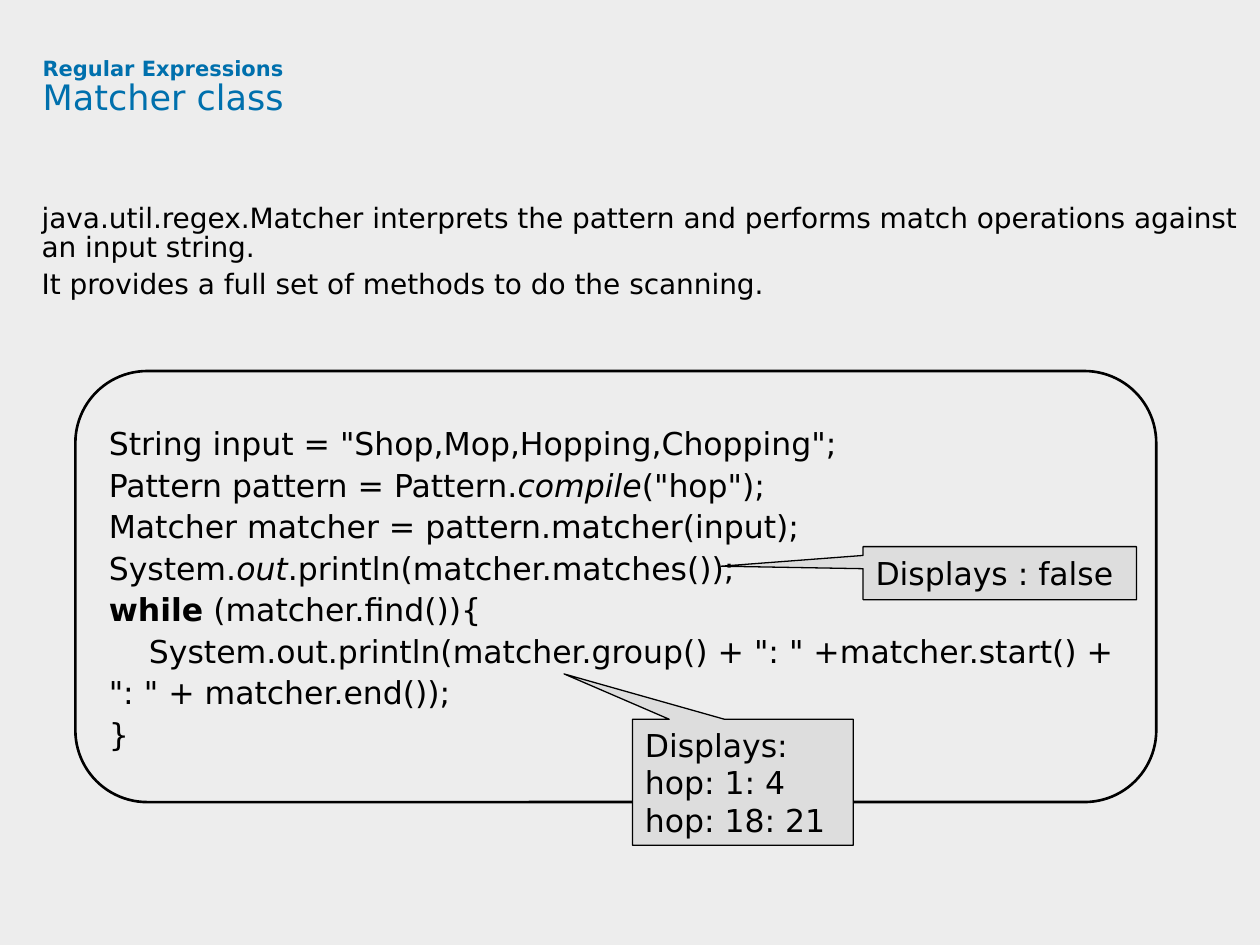
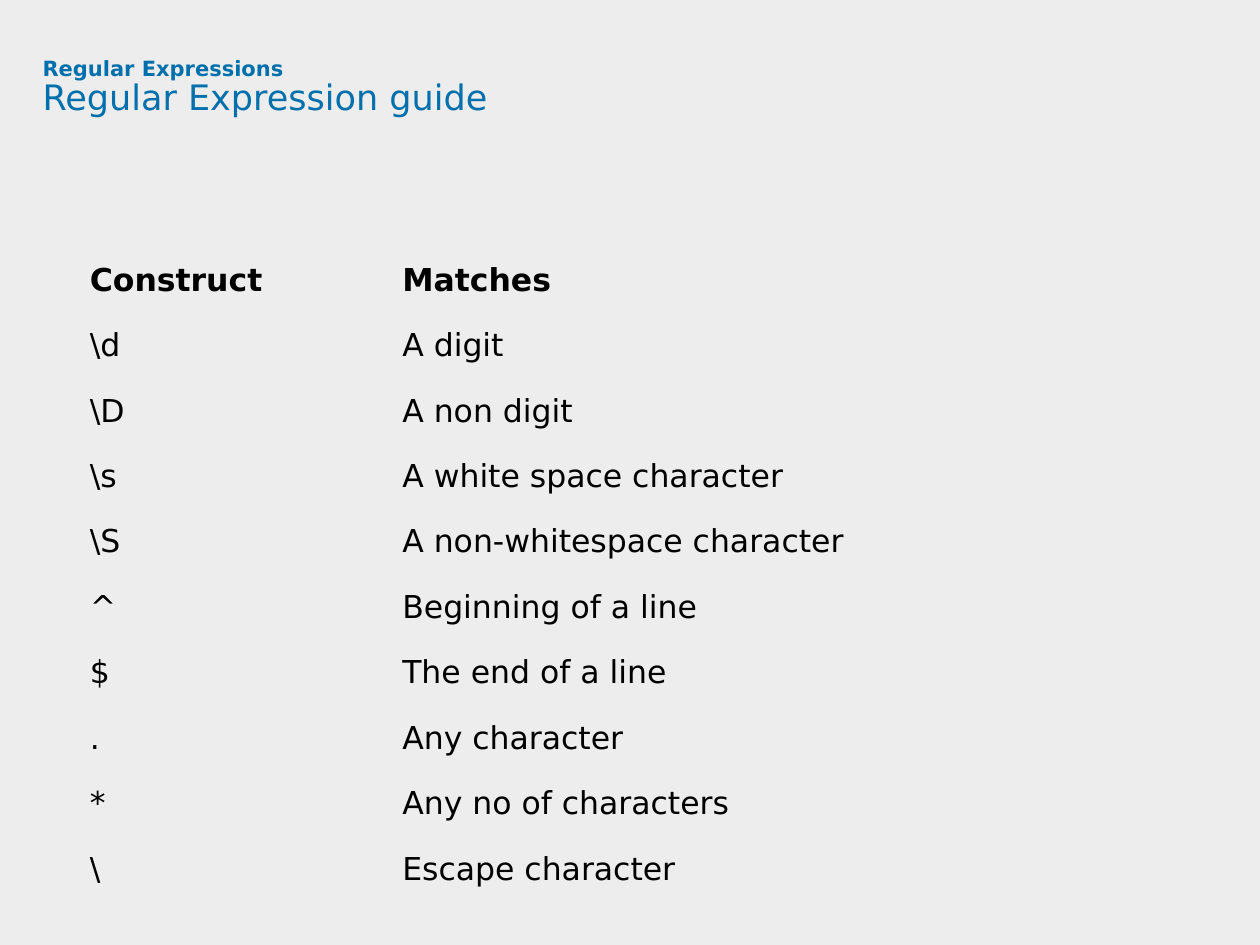
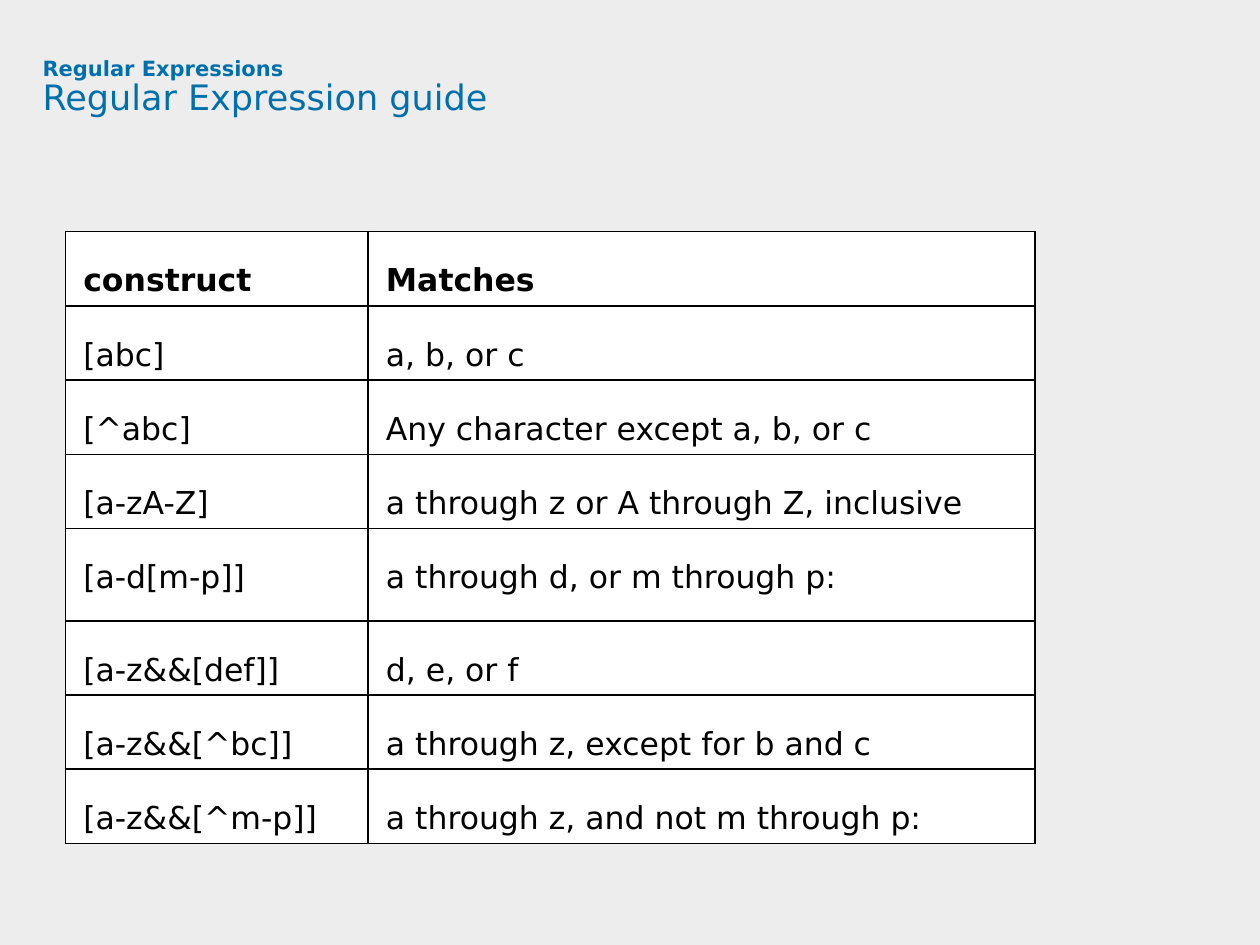
from dataclasses import dataclass

from lxml.etree import SubElement
from pptx import Presentation
from pptx.dml.color import RGBColor
from pptx.enum.shapes import MSO_SHAPE
from pptx.enum.text import MSO_ANCHOR, PP_ALIGN
from pptx.oxml.ns import qn
from pptx.util import Cm, Pt


@dataclass(frozen=True)
class Theme:
    """Colours, font and type sizes shared by all slides."""
    font: str = "DejaVu Sans"
    backdrop: str = "EDEDED"
    heading: str = "0070AD"
    ink: str = "000000"
    callout: str = "DDDDDD"
    paper: str = "FFFFFF"
    section_size: int = 12
    title_size: int = 20
    body_size: int = 16
    code_size: int = 18


THEME = Theme()

# Content -------------------------------------------------------------

SECTION = "Regular Expressions"
MATCHER_TITLE = "Matcher class"
GUIDE_TITLE = "Regular Expression guide"

INTRO = [
    "java.util.regex.Matcher interprets the pattern and performs match "
    "operations against an input string.",
    "It provides a full set of methods to do the scanning.",
]

# Each code line is a list of (text, style) pieces.
CODE = [
    [('String input = "Shop,Mop,Hopping,Chopping";', "")],
    [("Pattern pattern = Pattern.", ""), ("compile", "italic"), ('("hop");', "")],
    [("Matcher matcher = pattern.matcher(input);", "")],
    [("System.", ""), ("out", "italic"), (".println(matcher.matches());", "")],
    [("while", "bold"), (" (matcher.find()){", "")],
    [('System.out.println(matcher.group() + ": " +matcher.start() + ": " '
      "+ matcher.end());", "")],
    [("}", "")],
]
INDENTED_LINE = 5

# Lines, place in cm (left, top, width, height), tail point
CALLOUTS = [
    (["Displays : false"], (17.4, 11.02, 5.51, 1.07), (-1.02, -0.13)),
    (["Displays:", "hop: 1: 4", "hop: 18: 21"],
     (12.75, 14.5, 4.45, 2.54), (-0.81, -0.86)),
]

SYMBOLS = [
    ("Construct", "Matches"),
    ("\\d", "A digit"),
    ("\\D", "A non digit"),
    ("\\s", "A white space character"),
    ("\\S", "A non-whitespace character"),
    ("^", "Beginning of a line"),
    ("$", "The end of a line"),
    (".", "Any character"),
    ("*", "Any no of characters"),
    ("\\", "Escape character"),
]

CLASSES = [
    ("construct", "Matches"),
    ("[abc]", "a, b, or c"),
    ("[^abc]", "Any character except a, b, or c"),
    ("[a-zA-Z]", "a through z or A through Z, inclusive"),
    ("[a-d[m-p]]", "a through d, or m through p:"),
    ("[a-z&&[def]]", "d, e, or f"),
    ("[a-z&&[^bc]]", "a through z, except for b and c"),
    ("[a-z&&[^m-p]]", "a through z, and not m through p:"),
]
TALL_ROW = 4


# Helpers -------------------------------------------------------------

def color(code):
    """Turn a hex code into a colour."""
    return RGBColor.from_string(code)


def place(left, top, width, height):
    """Turn a place in cm into lengths."""
    return Cm(left), Cm(top), Cm(width), Cm(height)


def style(span, size, ink=THEME.ink, bold=False, italic=False):
    """Set the type of one run."""
    font = span.font
    font.name, font.size = THEME.font, Pt(size)
    font.bold, font.italic = bold, italic
    font.color.rgb = color(ink)


def write(frame, lines, size):
    """Fill a frame with left-aligned paragraphs and return them."""
    frame.word_wrap = True
    frame.text = "\n".join(lines)
    for para in frame.paragraphs:
        para.alignment = PP_ALIGN.LEFT
        for span in para.runs:
            style(span, size)
    return frame.paragraphs


def add_text_box(page, bounds):
    """Add a text box without margins and return its frame."""
    frame = page.shapes.add_textbox(*place(*bounds)).text_frame
    frame.word_wrap = True
    frame.margin_left = frame.margin_right = 0
    frame.margin_top = frame.margin_bottom = 0
    return frame


def add_page(deck, title):
    """Add a slide with the section name above its title."""
    page = deck.slides.add_slide(deck.slide_layouts[6])
    para = add_text_box(page, (0.86, 1.17, 23.09, 2.39)).paragraphs[0]
    para.text = f"{SECTION}\v{title}"
    para.line_spacing = 0.9
    section, name = para.runs
    style(section, THEME.section_size, THEME.heading, bold=True)
    style(name, THEME.title_size, THEME.heading)
    line_break = para._p.find(qn("a:br"))
    SubElement(line_break, qn("a:rPr"), sz=str(THEME.section_size * 100))
    return page


def add_box(page, kind, bounds, weight, fill=None):
    """Add an outlined shape with its text in the middle."""
    box = page.shapes.add_shape(kind, *place(*bounds))
    box.shadow.inherit = False
    box.line.color.rgb = color(THEME.ink)
    box.line.width = Pt(weight)
    if fill:
        box.fill.solid()
        box.fill.fore_color.rgb = color(fill)
    else:
        box.fill.background()
    box.text_frame.vertical_anchor = MSO_ANCHOR.MIDDLE
    return box


def add_code(page):
    """Add the rounded panel with the code sample."""
    panel = add_box(page, MSO_SHAPE.ROUNDED_RECTANGLE,
                    (1.52, 7.48, 21.79, 8.69), 1.5)
    lines = ["".join(text for text, _ in pieces) for pieces in CODE]
    paras = write(panel.text_frame, lines, THEME.code_size)
    for para, pieces in zip(paras, CODE):
        para.line_spacing = 1.1
        para.text = ""
        for text, look in pieces:
            span = para.add_run()
            span.text = text
            style(span, THEME.code_size,
                  bold=look == "bold", italic=look == "italic")
    paras[INDENTED_LINE]._p.get_or_add_pPr().set("indent", str(Cm(0.81)))


def set_borders(cell, weight):
    """Draw all cell borders, or none when the weight is zero."""
    properties = cell._tc.get_or_add_tcPr()
    for side in ("a:lnL", "a:lnR", "a:lnT", "a:lnB"):
        line = SubElement(properties, qn(side), w=str(Pt(weight)))
        if weight:
            fill = SubElement(line, qn("a:solidFill"))
            SubElement(fill, qn("a:srgbClr"), val=THEME.ink)
        else:
            SubElement(line, qn("a:noFill"))


def add_guide(page, rows, corner, widths, heights, margin, leading,
              border=0, fill=None):
    """Add a table of constructs with a bold first row."""
    bounds = place(*corner, sum(widths), sum(heights))
    table = page.shapes.add_table(len(rows), len(widths), *bounds).table
    table.first_row = table.horz_banding = False
    for column, width in zip(table.columns, widths):
        column.width = Cm(width)
    for index, (row, height) in enumerate(zip(table.rows, heights)):
        row.height = Cm(height)
        for cell, text in zip(row.cells, rows[index]):
            cell.margin_left = cell.margin_right = Cm(margin)
            cell.margin_top = cell.margin_bottom = Cm(0.13)
            set_borders(cell, border)
            if fill:
                cell.fill.solid()
                cell.fill.fore_color.rgb = color(fill)
            else:
                cell.fill.background()
            para = write(cell.text_frame, [text], THEME.code_size)[0]
            para.line_spacing = Pt(leading)
            para.runs[0].font.bold = index == 0


# Slides --------------------------------------------------------------

def build_matcher(deck):
    """Build the slide about the Matcher class."""
    page = add_page(deck, MATCHER_TITLE)
    intro = add_text_box(page, (0.84, 4.14, 24.56, 12.9))
    for para in write(intro, INTRO, THEME.body_size):
        para.line_spacing = Pt(16.5)
        para.space_after = Pt(4.5)
    add_code(page)
    for lines, bounds, tail in CALLOUTS:
        box = add_box(page, MSO_SHAPE.RECTANGULAR_CALLOUT, bounds, 0.75,
                      THEME.callout)
        box.adjustments[0], box.adjustments[1] = tail
        write(box.text_frame, lines, THEME.code_size)


def build_guides(deck):
    """Build the two slides with tables of constructs."""
    add_guide(add_page(deck, GUIDE_TITLE), SYMBOLS, (1.4, 4.83),
              (6.3, 15.04), [1.31] * len(SYMBOLS), 0.41, 30)
    heights = [1.86 if index == TALL_ROW else 1.49
               for index in range(len(CLASSES))]
    add_guide(add_page(deck, GUIDE_TITLE), CLASSES, (1.32, 4.67),
              (6.1, 13.44), heights, 0.36, 35, border=1, fill=THEME.paper)


def main():
    """Build and save the deck."""
    deck = Presentation()
    deck.slide_width, deck.slide_height = Cm(25.4), Cm(19.05)
    backdrop = deck.slide_master.background.fill
    backdrop.solid()
    backdrop.fore_color.rgb = color(THEME.backdrop)
    build_matcher(deck)
    build_guides(deck)
    deck.save("out.pptx")


main()
